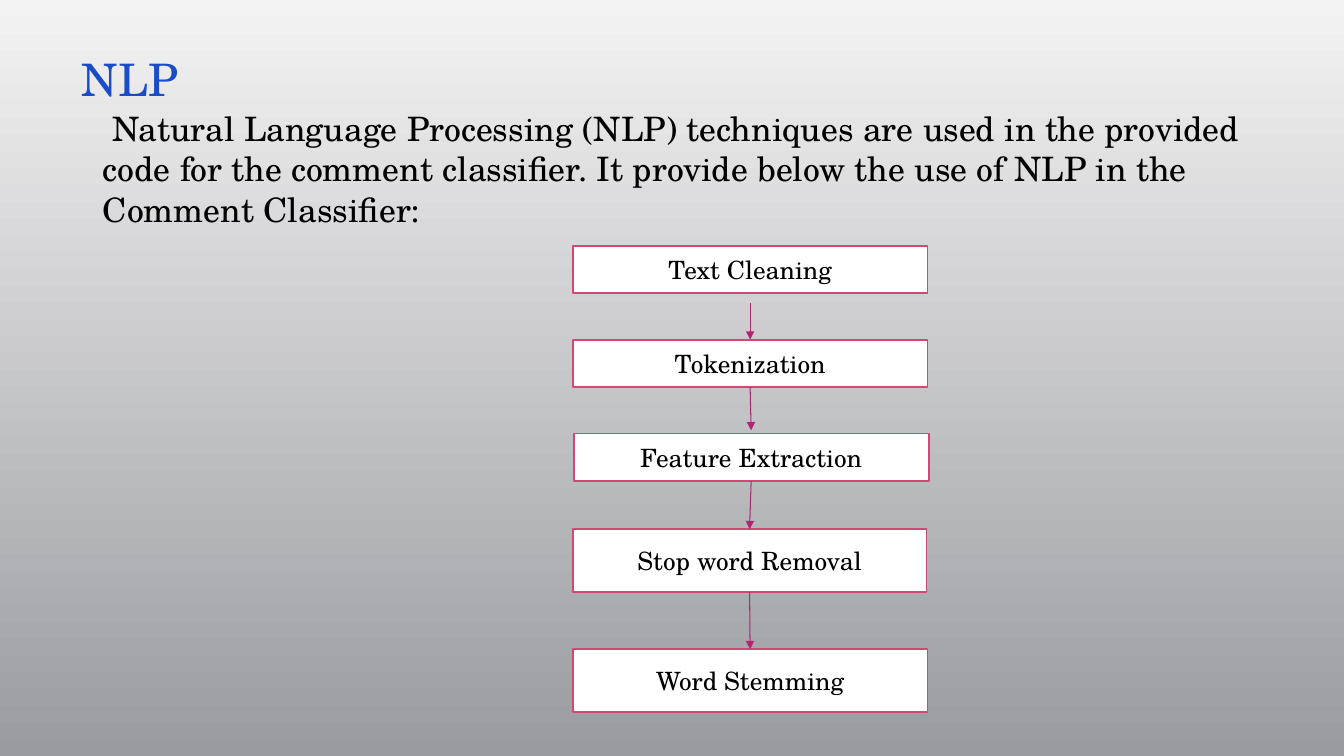
from pptx import Presentation
from pptx.dml.color import RGBColor
from pptx.enum import shapes, text
from pptx.oxml.ns import qn
from pptx.util import Inches, Pt
from lxml import etree

FONT = "TeX Gyre Schola"
BLACK = RGBColor(0x00, 0x00, 0x00)
WHITE = RGBColor(0xFF, 0xFF, 0xFF)
BLUE = RGBColor(0x1A, 0x4C, 0xC8)
PINK = RGBColor(0xD5, 0x47, 0x73)
PURPLE = RGBColor(0xB3, 0x23, 0x72)
BACKGROUND = [RGBColor(0xF3, 0xF3, 0xF4), RGBColor(0x9A, 0x9B, 0x9E)]

TITLE = "NLP"
INTRO = (" Natural Language Processing (NLP) techniques are used in the provided code "
         "for the comment classifier. It provide below the use of NLP in the "
         "Comment Classifier:")
# label, left, top, width, height
STEPS = [
    ("Text Cleaning", 5.68, 2.44, 3.52, 0.47),
    ("Tokenization", 5.68, 3.37, 3.52, 0.47),
    ("Feature Extraction", 5.69, 4.30, 3.52, 0.47),
    ("Stop word Removal", 5.68, 5.25, 3.51, 0.62),
    ("Word Stemming", 5.68, 6.44, 3.52, 0.62),
]
# gap before and after each arrow; an arrow end without a gap is joined to its box
ARROW_GAPS = [(0.10, 0), (0, 0.03), (0, 0), (0, 0)]


def write(frame, words, size, color, align, anchor):
    frame.word_wrap = True
    frame.auto_size = text.MSO_AUTO_SIZE.NONE
    frame.vertical_anchor = anchor
    frame.margin_left = frame.margin_right = Inches(0.1)
    frame.margin_top = frame.margin_bottom = Inches(0.05)
    para = frame.paragraphs[0]
    para.alignment = align
    para.space_before = Pt(0)
    span = para.add_run()
    span.text = words
    span.font.name = FONT
    span.font.size = Pt(size)
    span.font.color.rgb = color
    return para


def place(box, left, top, width, height):
    box.left, box.top = Inches(left), Inches(top)
    box.width, box.height = Inches(width), Inches(height)


def add_step(slide, label, *area):
    box = slide.shapes.add_shape(shapes.MSO_SHAPE.FLOWCHART_PROCESS,
                                 *map(Inches, area))
    box.shadow.inherit = False
    box.fill.solid()
    box.fill.fore_color.rgb = WHITE
    box.line.color.rgb = PINK
    box.line.width = Pt(1.25)
    write(box.text_frame, label, 18, BLACK,
          text.PP_ALIGN.CENTER, text.MSO_ANCHOR.MIDDLE)
    return box


def add_arrow(slide, upper, lower, gap_before, gap_after):
    arrow = slide.shapes.add_connector(
        shapes.MSO_CONNECTOR.STRAIGHT,
        upper.left + upper.width // 2,
        upper.top + upper.height + Inches(gap_before),
        lower.left + lower.width // 2,
        lower.top - Inches(gap_after))
    if not gap_before:
        arrow.begin_connect(upper, 2)
    if not gap_after:
        arrow.end_connect(lower, 0)
    arrow.line.color.rgb = PURPLE
    arrow.line.width = Pt(0.75)
    etree.SubElement(arrow.line._get_or_add_ln(), qn("a:tailEnd"), type="triangle")
    etree.SubElement(arrow._element.spPr, qn("a:effectLst"))


def main():
    deck = Presentation()
    deck.slide_width, deck.slide_height = Inches(13.33), Inches(7.5)
    slide = deck.slides.add_slide(deck.slide_layouts[1])

    fill = slide.background.fill
    fill.gradient()
    fill.gradient_angle = 270
    for stop, color in zip(fill.gradient_stops, BACKGROUND):
        stop.color.rgb = color

    title, body = slide.placeholders
    place(title, 0.71, 0.2, 2.46, 0.83)
    para = write(title.text_frame, TITLE, 32, BLUE,
                 text.PP_ALIGN.LEFT, text.MSO_ANCHOR.TOP)
    para.line_spacing = 1.5

    place(body, 0.92, 1.02, 12.13, 1.3)
    para = write(body.text_frame, INTRO, 24, BLACK,
                 text.PP_ALIGN.LEFT, text.MSO_ANCHOR.TOP)
    properties = para._p.get_or_add_pPr()
    properties.set("marL", "0")
    properties.set("indent", "0")
    etree.SubElement(properties, qn("a:buNone"))

    boxes = [add_step(slide, *step) for step in STEPS]
    for upper, lower, gaps in zip(boxes, boxes[1:], ARROW_GAPS):
        add_arrow(slide, upper, lower, *gaps)

    deck.save("out.pptx")


if __name__ == "__main__":
    main()
